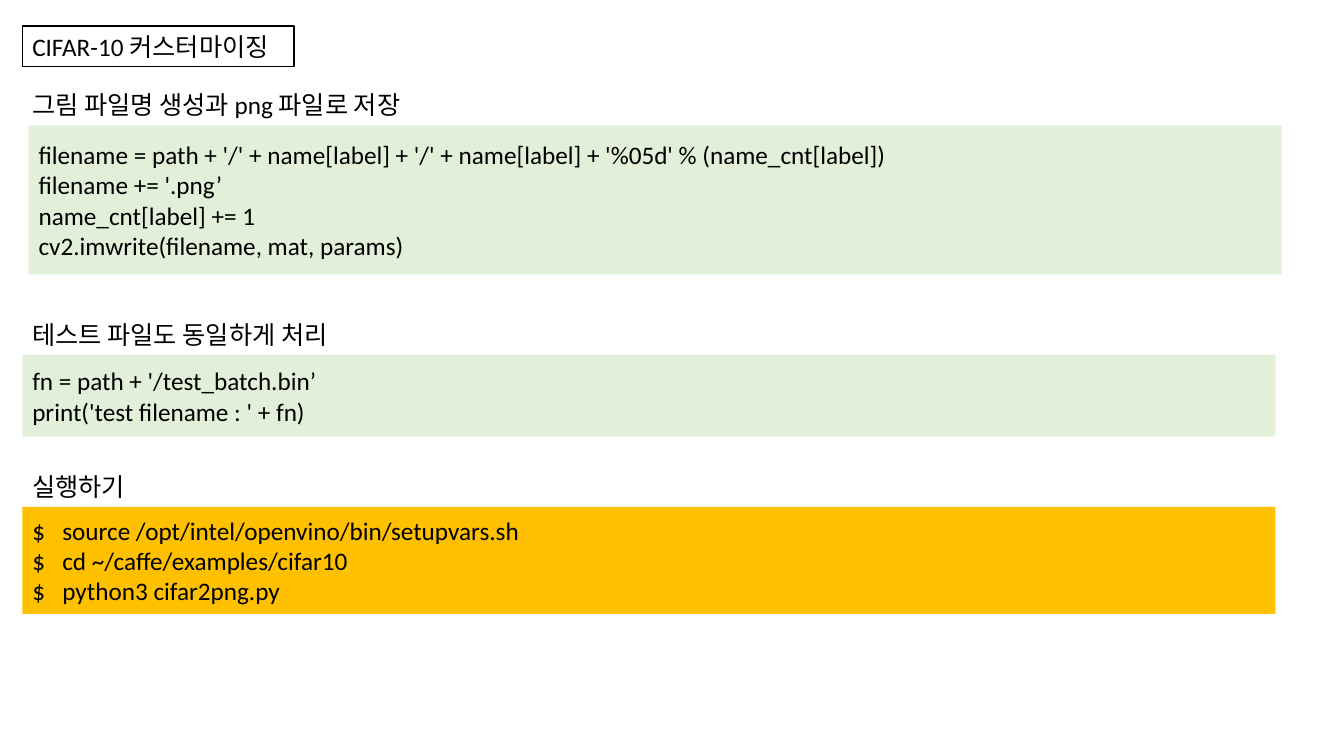
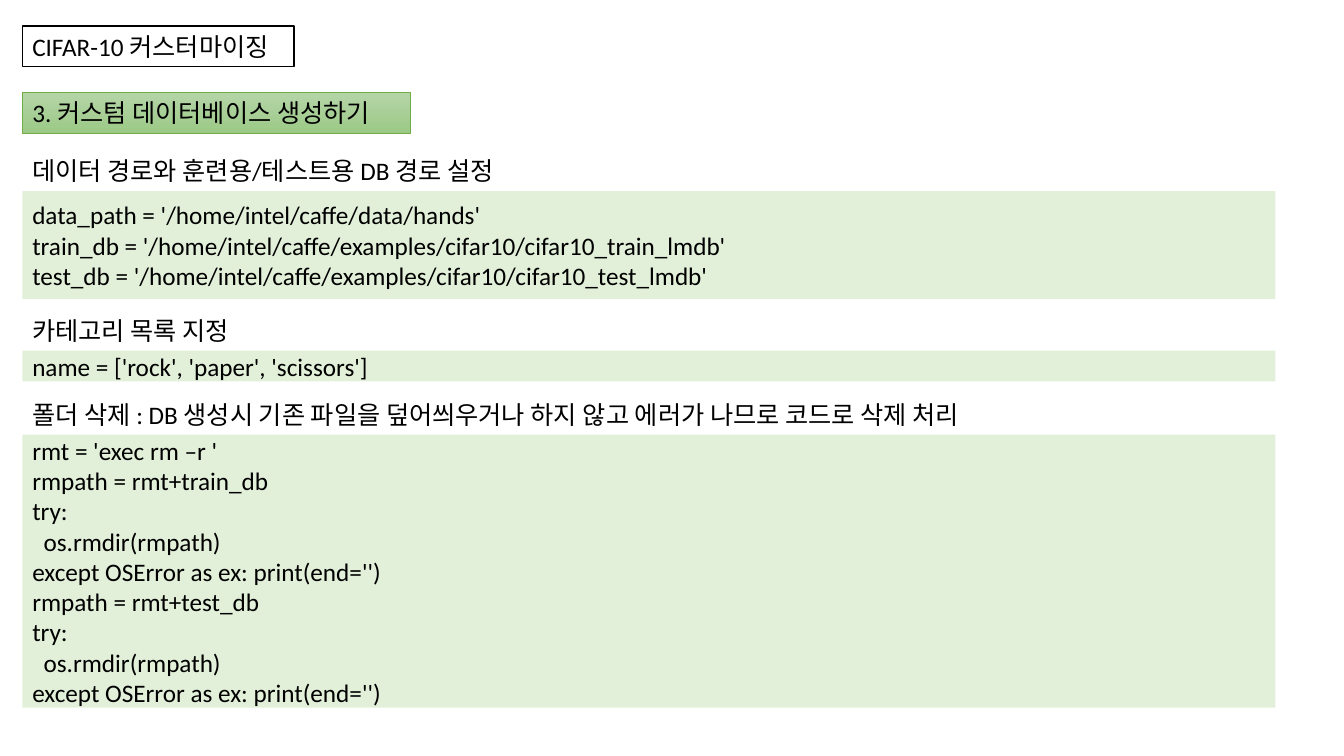
from lxml.etree import SubElement
from pptx import Presentation
from pptx.dml.color import RGBColor
from pptx.enum.shapes import MSO_SHAPE as SHAPE
from pptx.enum.text import MSO_ANCHOR as ANCHOR, MSO_AUTO_SIZE as AUTO, PP_ALIGN as ALIGN
from pptx.oxml.ns import qn
from pptx.util import Pt

FONT, SIZE = "Calibri", 18
BLACK, WHITE = "000000", "FFFFFF"
CODE, SHELL = "E2F0D9", "FFC000"
BADGE_TOP, BADGE_BOTTOM, BADGE_LINE = "B5D5A7", "9CC987", "70AD47"
LEFT, WIDTH, LABEL_H = 16, 895, 29


def rgb(hex_color):
    return RGBColor.from_string(hex_color)


def add_tab_stop(p, pos):
    tabs = SubElement(p._p.get_or_add_pPr(), qn("a:tabLst"))
    SubElement(tabs, qn("a:tab"), pos=str(Pt(pos)), algn="l")


def write(tf, text, wrap=False, anchor=ANCHOR.TOP, tab=None):
    """Fill a text frame, one paragraph per line; unwrapped frames fit their text."""
    tf.word_wrap = wrap
    tf.auto_size = AUTO.NONE if wrap else AUTO.SHAPE_TO_FIT_TEXT
    tf.vertical_anchor = anchor
    for i, line in enumerate(text.split("\n")):
        p = tf.paragraphs[0] if i == 0 else tf.add_paragraph()
        p.alignment = ALIGN.LEFT
        if tab:
            add_tab_stop(p, tab)
        r = p.add_run()
        r.text = line
        r.font.name, r.font.size = FONT, Pt(SIZE)
        r.font.color.rgb = rgb(BLACK)


def add_rect(s, x, y, w, h, fill, line=None, line_w=1):
    """Add a rectangle; a pair of colours as fill gives a vertical gradient."""
    sp = s.shapes.add_shape(SHAPE.RECTANGLE, Pt(x), Pt(y), Pt(w), Pt(h))
    sp.shadow.inherit = False
    if isinstance(fill, tuple):
        sp.fill.gradient()
        sp.fill.gradient_angle = 270
        for stop, color in zip(sp.fill.gradient_stops, fill):
            stop.color.rgb = rgb(color)
    else:
        sp.fill.solid()
        sp.fill.fore_color.rgb = rgb(fill)
    if line:
        sp.line.color.rgb = rgb(line)
        sp.line.width = Pt(line_w)
    else:
        sp.line.fill.background()
    return sp


def add_title(s):
    sp = add_rect(s, LEFT, 18.5, 194, LABEL_H, WHITE, BLACK)
    write(sp.text_frame, "CIFAR-10 커스터마이징")


def add_step(s, y, text):
    sp = add_rect(s, LEFT, y, 277, LABEL_H, (BADGE_TOP, BADGE_BOTTOM), BADGE_LINE, 0.5)
    write(sp.text_frame, text)


def add_section(s, y, heading, heading_w, code, code_h, fill=CODE, indent=0, tab=None):
    """Place a heading with its code panel directly below."""
    tb = s.shapes.add_textbox(Pt(LEFT), Pt(y), Pt(heading_w), Pt(LABEL_H))
    write(tb.text_frame, heading)
    panel = add_rect(s, LEFT + indent, y + LABEL_H, WIDTH, code_h, fill)
    write(panel.text_frame, code, wrap=True, anchor=ANCHOR.MIDDLE, tab=tab)


SAVE_CODE = """filename = path + '/' + name[label] + '/' + name[label] + '%05d' % (name_cnt[label])
filename += '.png’
name_cnt[label] += 1
cv2.imwrite(filename, mat, params)"""

TEST_CODE = """fn = path + '/test_batch.bin’
print('test filename : ' + fn)"""

RUN_COMMANDS = "\n".join("$\t" + command for command in (
    "source /opt/intel/openvino/bin/setupvars.sh",
    "cd ~/caffe/examples/cifar10",
    "python3 cifar2png.py",
))

PATH_CODE = """data_path = '/home/intel/caffe/data/hands'
train_db = '/home/intel/caffe/examples/cifar10/cifar10_train_lmdb'
test_db = '/home/intel/caffe/examples/cifar10/cifar10_test_lmdb'"""

REMOVE_CODE = "rmt = 'exec rm –r '\n" + "\n".join(f"""rmpath = rmt+{db}
try:
  os.rmdir(rmpath)
except OSError as ex: print(end='')""" for db in ("train_db", "test_db"))


def build_save_slide(s):
    add_title(s)
    add_section(s, 60.5, "그림 파일명 생성과 png 파일로 저장", 299.5, SAVE_CODE, 106.5, indent=4.5)
    add_section(s, 224.5, "테스트 파일도 동일하게 처리", 245, TEST_CODE, 58.5)
    add_section(s, 333, "실행하기", 87, RUN_COMMANDS, 76.5, fill=SHELL, tab=21.5)


def build_database_slide(s):
    add_title(s)
    add_step(s, 66, "3. 커스텀 데이터베이스 생성하기")
    add_section(s, 107.5, "데이터 경로와 훈련용/테스트용 DB 경로 설정", 376.5, PATH_CODE, 77)
    add_section(s, 221.5, "카테고리 목록 지정", 168.5, "name = ['rock', 'paper', 'scissors']", 22)
    add_section(s, 281.5, "폴더 삭제 : DB 생성시 기존 파일을 덮어씌우거나 하지 않고 에러가 나므로 코드로 삭제 처리",
                735, REMOVE_CODE, 195)


def main():
    prs = Presentation()
    prs.slide_width, prs.slide_height = Pt(960), Pt(540)
    for build in (build_save_slide, build_database_slide):
        build(prs.slides.add_slide(prs.slide_layouts[6]))
    prs.save("out.pptx")


if __name__ == "__main__":
    main()
